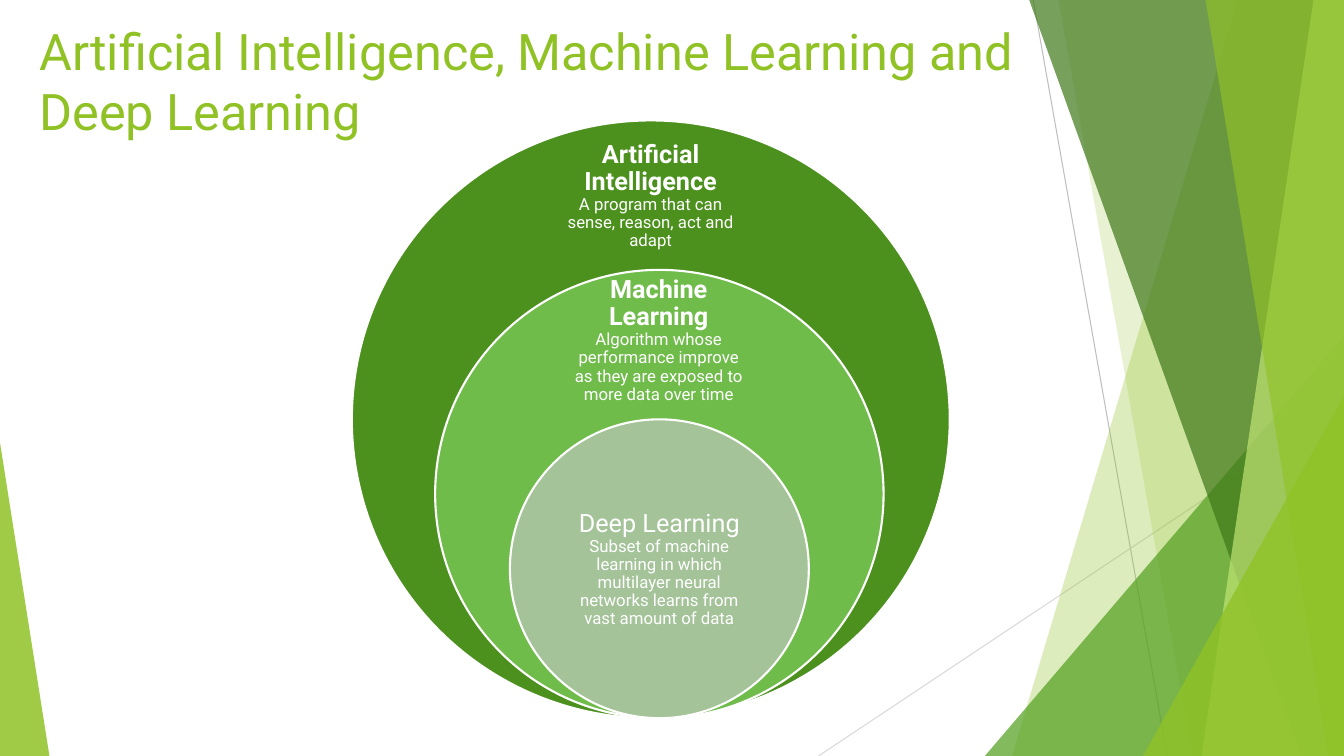
from dataclasses import dataclass

from lxml import etree
from pptx import Presentation
from pptx.dml.color import RGBColor
from pptx.enum.shapes import MSO_CONNECTOR, MSO_SHAPE
from pptx.enum.text import MSO_ANCHOR, PP_ALIGN
from pptx.oxml.ns import qn
from pptx.util import Inches, Pt

STRAIGHT = MSO_CONNECTOR.STRAIGHT
ELLIPSE = MSO_SHAPE.OVAL
TRIANGLE = MSO_SHAPE.ISOSCELES_TRIANGLE
TOP, MIDDLE = MSO_ANCHOR.TOP, MSO_ANCHOR.MIDDLE
LEFT, CENTER = PP_ALIGN.LEFT, PP_ALIGN.CENTER


@dataclass(frozen=True)
class Theme:
    font: str = "Roboto"
    title_size: int = 36
    heading_size: int = 18
    body_size: int = 12
    white: str = "FFFFFF"
    lime: str = "90C226"
    pale_lime: str = "C0E474"
    green: str = "54A021"
    forest: str = "3F7819"
    ai: str = "4C911E"
    machine_learning: str = "6FBC4A"
    deep_learning: str = "A4C399"
    dark_rule: str = "BFBFBF"
    light_rule: str = "D9D9D9"


class Deck:
    """Places elements in percent of the slide's width and height."""

    def __init__(self, theme):
        self.theme = theme
        self.file = Presentation()
        self.file.slide_width, self.file.slide_height = Inches(13.33), Inches(7.5)
        self.shapes = self.file.slides.add_slide(self.file.slide_layouts[6]).shapes

    def x(self, percent):
        return round(self.file.slide_width * percent / 100)

    def y(self, percent):
        return round(self.file.slide_height * percent / 100)

    def box(self, left, top, width, height):
        return self.x(left), self.y(top), self.x(width), self.y(height)

    def paint(self, shape, color, opacity=100):
        shape.shadow.inherit = False
        shape.line.fill.background()
        shape.fill.solid()
        shape.fill.fore_color.rgb = RGBColor.from_string(color)
        if opacity < 100:
            tint = shape.fill._xPr.find(".//" + qn("a:srgbClr"))
            etree.SubElement(tint, qn("a:alpha"), val=str(opacity * 1000))

    def rule(self, start, end, color):
        line = self.shapes.add_connector(
            STRAIGHT, self.x(start[0]), self.y(start[1]), self.x(end[0]), self.y(end[1]))
        line.line.color.rgb = RGBColor.from_string(color)
        line.line.width = Pt(0.75)
        etree.SubElement(line._element.spPr, qn("a:effectLst"))

    def panel(self, top_left, bottom_left, color, opacity):
        """A full-height panel with a slanted left edge, flush right."""
        outline = self.shapes.build_freeform(self.x(top_left), 0)
        corners = [(100, 0), (100, 100), (bottom_left, 100)]
        outline.add_line_segments([(self.x(h), self.y(v)) for h, v in corners])
        self.paint(outline.convert_to_shape(), color, opacity)

    def wedge(self, left, top, width, apex, color, opacity):
        """A triangle standing on the slide's bottom edge."""
        triangle = self.shapes.add_shape(TRIANGLE, *self.box(left, top, width, 100 - top))
        triangle.adjustments[0] = apex
        self.paint(triangle, color, opacity)

    def circle(self, center, bottom, diameter, color):
        size = self.y(diameter)
        disc = self.shapes.add_shape(
            ELLIPSE, self.x(center) - size // 2, self.y(bottom) - size, size, size)
        self.paint(disc, color)
        disc.line.color.rgb = RGBColor.from_string(self.theme.white)
        disc.line.width = Pt(1.5)

    def text(self, place, anchor, align, color):
        frame = self.shapes.add_textbox(*self.box(*place)).text_frame
        frame.word_wrap = True
        frame.vertical_anchor = anchor
        paragraph = frame.paragraphs[0]
        paragraph.alignment = align
        paragraph.font.name = self.theme.font
        paragraph.font.color.rgb = RGBColor.from_string(color)
        return frame, paragraph

    def title(self, place, wording):
        _, paragraph = self.text(place, TOP, LEFT, self.theme.lime)
        paragraph.font.size = Pt(self.theme.title_size)
        paragraph.add_run().text = wording

    def caption(self, place, heading, body, bold):
        frame, paragraph = self.text(place, MIDDLE, CENTER, self.theme.white)
        frame.margin_left = frame.margin_right = Inches(0.14)
        frame.margin_top = frame.margin_bottom = Inches(0.14)
        paragraph.line_spacing = 0.9
        name = paragraph.add_run()
        name.text = heading
        name.font.size = Pt(self.theme.heading_size)
        name.font.bold = bold
        paragraph.add_line_break()
        description = paragraph.add_run()
        description.text = body
        description.font.size = Pt(self.theme.body_size)


def main():
    theme = Theme()
    deck = Deck(theme)

    # Background facets
    deck.rule((76.88, 0), (86.85, 100), theme.dark_rule)
    deck.rule((100, 53.73), (60.9, 100), theme.light_rule)
    deck.panel(92.1, 75.3, theme.lime, 30)
    deck.panel(78.75, 88.73, theme.lime, 20)
    deck.wedge(73.28, 44.4, 26.72, 1, theme.green, 72)
    deck.panel(76.58, 96.83, theme.forest, 70)
    deck.panel(97.73, 89.4, theme.pale_lime, 70)
    deck.panel(89.7, 98.85, theme.lime, 65)
    deck.wedge(85.05, 52.4, 14.95, 1, theme.lime, 80)
    deck.wedge(0, 58.53, 3.68, 0, theme.lime, 85)

    # Nested fields: centre, share of the outer circle, colour, caption
    outer_diameter, shared_bottom = 79.07, 95
    fields = [
        (48.42, 1, theme.ai, (40.65, 20, 15.53, 11.87), "Artificial Intelligence",
         "A program that can sense, reason, act and adapt", True),
        (49.06, 0.75, theme.machine_learning, (41.25, 39.47, 15.53, 11.07),
         "Machine Learning",
         "Algorithm whose performance improve as they are exposed to more data over time",
         True),
        (49.06, 0.5, theme.deep_learning, (41.18, 65.47, 15.75, 19.73), "Deep Learning",
         "Subset of machine learning in which multilayer neural networks learns "
         "from vast amount of data", False),
    ]
    for center, share, color, place, heading, body, bold in fields:
        deck.circle(center, shared_bottom, outer_diameter * share, color)
        deck.caption(place, heading, body, bold)

    # Title
    deck.title((2.18, 2, 83.12, 21.2),
               "Artificial Intelligence, Machine Learning and Deep Learning")

    deck.file.save("out.pptx")


if __name__ == "__main__":
    main()
